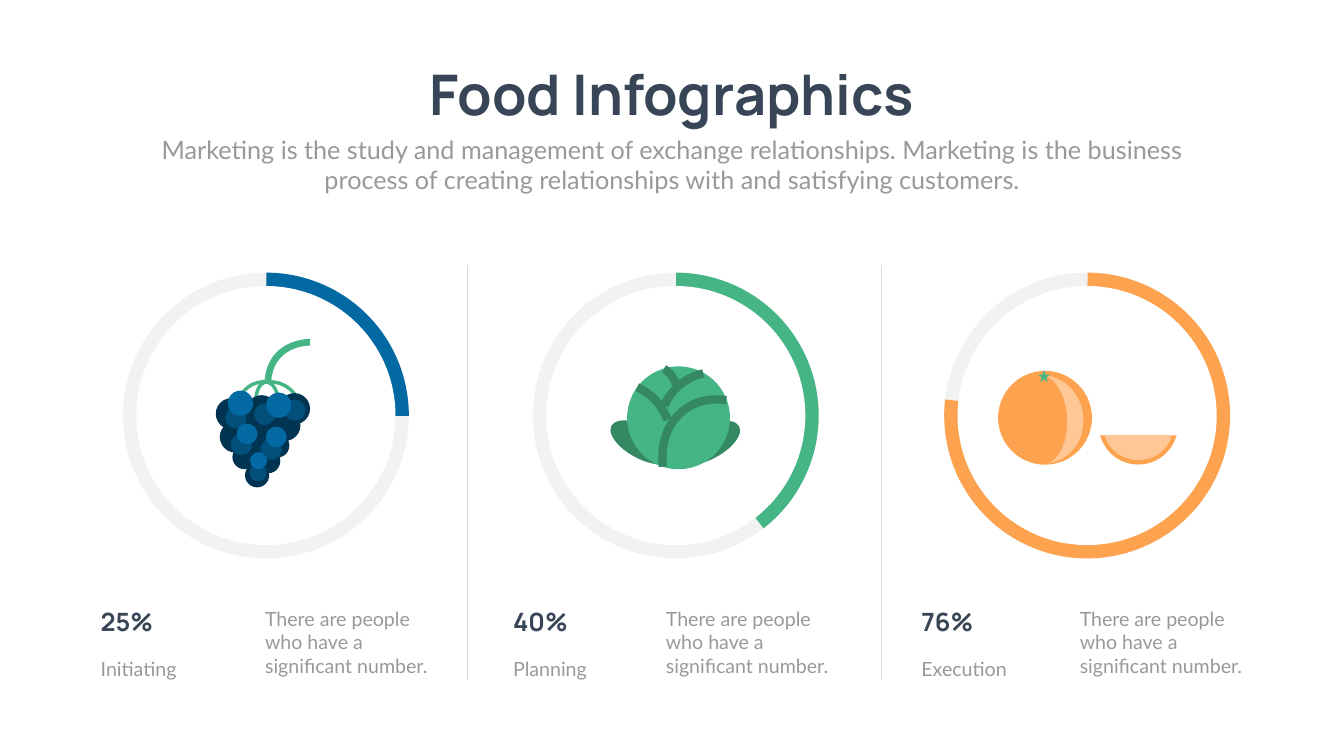
"""Food infographics slide: three progress rings with drawn food and captions."""
from lxml.etree import SubElement
from pptx import Presentation
from pptx.dml.color import RGBColor
from pptx.enum.shapes import MSO_CONNECTOR, MSO_SHAPE
from pptx.enum.text import PP_ALIGN
from pptx.oxml.ns import qn
from pptx.util import Inches, Pt

PAPER = RGBColor(0xFE, 0xFF, 0xFE)
WHITE = RGBColor(0xFF, 0xFF, 0xFF)
TRACK = RGBColor(0xF2, 0xF2, 0xF2)
RULE = RGBColor(0xD9, 0xD9, 0xD9)
INK = RGBColor(0x37, 0x45, 0x56)
GRAY = RGBColor(0x99, 0x99, 0x99)
NAVY = RGBColor(0x01, 0x34, 0x51)
DEEP = RGBColor(0x02, 0x4F, 0x7A)
BLUE = RGBColor(0x03, 0x69, 0xA2)
GREEN = RGBColor(0x46, 0xB5, 0x86)
LEAF = RGBColor(0x35, 0x88, 0x64)
ORANGE = RGBColor(0xFD, 0xA2, 0x4E)
PEACH = RGBColor(0xFE, 0xC7, 0x95)

TITLE = "Food Infographics"
INTRO = ("Marketing is the study and management of exchange relationships. "
         "Marketing is the business process of creating relationships with "
         "and satisfying customers.")
NOTE = "There are people who have a significant number."

GRAPES = [
    ("band", GREEN, 5, [
        [(4.72, 7.98), (4.82, 7.7), (5, 7.58), (5.28, 7.57)],
        [(5.9, 7.9), (5.78, 7.7), (5.6, 7.57), (5.28, 7.57)],
        [(5.07, 8.01), (5.07, 7.8), (5.13, 7.6), (5.28, 7.58)],
        [(5.54, 7.99), (5.5, 7.75), (5.43, 7.6), (5.28, 7.58)]]),
    ("band", GREEN, 9.5, [[(5.31, 7.6), (5.35, 6.8), (6.1, 6.79), (6.15, 6.79)]]),
    ("ball", NAVY, 0.62, [(5.84, 8.11), (5.19, 8.15), (4.59, 8.21), (4.67, 8.67),
                          (5.65, 8.44)]),
    ("ball", NAVY, 0.48, [(4.85, 9.07), (5.1, 9.43), (5.32, 9.15), (5.5, 8.84)]),
    ("ball", NAVY, 1, [(5.15, 8.6)]),
    ("ball", DEEP, 0.42, [(5.25, 8.22), (5.85, 8.14), (4.68, 8.29), (5.38, 8.91),
                          (4.79, 8.82)]),
    ("ball", DEEP, 0.34, [(5.12, 9.38)]),
    ("ball", BLUE, 0.5, [(4.77, 8), (5.53, 8.04)]),
    ("ball", BLUE, 0.41, [(4.9, 8.61), (5.48, 8.67)]),
    ("ball", BLUE, 0.34, [(5.13, 9.14)]),
]
CABBAGE = [
    ("leaf", LEAF, 28, [(12.75, 8.78)]),
    ("leaf", LEAF, -28, [(14.04, 8.79)]),
    ("ball", GREEN, 2.04, [(13.46, 8.29)]),
    ("band", LEAF, 12, [
        [(13.15, 9.26), (13.05, 8.4), (13.65, 7.82), (14.41, 7.94)],
        [(12.64, 7.68), (12.92, 7.81), (13.13, 8.04), (13.24, 8.33)],
        [(13.18, 8.05), (13.3, 7.75), (13.6, 7.48), (13.95, 7.41)],
        [(13.17, 7.32), (13.28, 7.38), (13.38, 7.5), (13.43, 7.69)]]),
]
CITRUS = [
    ("ball", ORANGE, 1.86, [(20.73, 8.29)]),
    ("patch", PEACH, 0, [
        [(20.72, 7.44), (21.74, 7.6), (21.74, 9.05), (20.78, 9.2),
         (21.31, 9), (21.31, 7.7), (20.72, 7.44)]]),
    ("star", GREEN, 0.24, [(20.71, 7.46)]),
    ("patch", ORANGE, 0, [[(23.34, 8.64), (23.1, 9.41), (22.06, 9.41), (21.82, 8.64)]]),
    ("patch", PEACH, 0, [[(23.25, 8.64), (23.05, 9.29), (22.11, 9.29), (21.91, 8.64)]]),
]
STEPS = [
    ("25%", "Initiating", BLUE, 0.1, (2.44, 1.9, 5.16), GRAPES),
    ("40%", "Planning", GREEN, 52.1, (10.57, 10.08, 13.11), CABBAGE),
    ("76%", "Execution", ORANGE, 186.46, (18.73, 18.18, 21.32), CITRUS),
]


def paint(shape, color):
    shape.shadow.inherit = False
    shape.fill.solid()
    shape.fill.fore_color.rgb = color
    shape.line.fill.background()


def place(shapes, mid, wide, high, color, kind=MSO_SHAPE.OVAL):
    box = (mid[0] - wide / 2, mid[1] - high / 2, wide, high)
    shape = shapes.add_shape(kind, *map(Inches, box))
    paint(shape, color)
    return shape


def trace(shapes, knots, closed, steps=16):
    dots = [knots[0]]
    for first in range(0, len(knots) - 1, 3):
        ends = knots[first:first + 4]
        for i in range(1, steps + 1):
            t = i / steps
            mix = ((1 - t) ** 3, 3 * t * (1 - t) ** 2, 3 * t * t * (1 - t), t ** 3)
            dots.append([sum(m * e[k] for m, e in zip(mix, ends)) for k in (0, 1)])
    dots = [(Inches(x), Inches(y)) for x, y in dots]
    pen = shapes.build_freeform(*dots[0], scale=1.0)
    pen.add_line_segments(dots[1:], close=closed)
    return pen.convert_to_shape()


def draw(shapes, kind, color, size, spots):
    for spot in spots:
        if kind == "ball":
            place(shapes, spot, size, size, color)
        elif kind == "leaf":
            place(shapes, spot, 1.41, 0.65, color).rotation = size
        elif kind == "star":
            place(shapes, spot, size, size, color, MSO_SHAPE.STAR_5_POINT)
        else:
            shape = trace(shapes, spot, kind == "patch")
            paint(shape, color)
            if kind == "band":
                shape.fill.background()
                shape.line.color.rgb, shape.line.width = color, Pt(size)


def write(slide, box, text, size, head=False, align=PP_ALIGN.LEFT, wrap=True, lead=None):
    frame = slide.shapes.add_textbox(*map(Inches, box)).text_frame
    frame.word_wrap = wrap
    frame.text = text
    para = frame.paragraphs[0]
    para.alignment = align
    para.line_spacing = lead
    font = para.runs[0].font
    font.size, font.bold = Pt(size), head
    font.name, font.color.rgb = ("Manrope", INK) if head else ("Lato", GRAY)


def main():
    deck = Presentation()
    deck.slide_width, deck.slide_height = Inches(26.66), Inches(15)
    slide = deck.slides.add_slide(deck.slide_layouts[6])
    slide.background.fill.solid()
    slide.background.fill.fore_color.rgb = PAPER
    write(slide, (8.02, 1.14, 10.61, 1.45), TITLE, 80, True, PP_ALIGN.CENTER, False)
    write(slide, (2.92, 2.61, 20.82, 1.31), INTRO, 36, align=PP_ALIGN.CENTER)
    for x in (9.28, 17.49):
        rule = slide.shapes.add_connector(
            MSO_CONNECTOR.STRAIGHT, *map(Inches, (x, 13.5, x, 5.25)))
        rule.line.color.rgb, rule.line.width = RULE, Pt(1)
        SubElement(rule._element.spPr, qn("a:effectLst"))
    for share, label, color, end, (ring, left, note), art in STEPS:
        dial = slide.shapes.add_group_shape().shapes
        mid = (ring + 5.67 / 2, 5.41 + 5.67 / 2)
        place(dial, mid, 5.67, 5.67, TRACK)
        arc = place(dial, mid, 5.67, 5.67, color, MSO_SHAPE.PIE)
        arc.adjustments[0], arc.adjustments[1] = 270.16 * 0.6, end * 0.6
        place(dial, mid, 5.14, 5.14, WHITE)
        food = slide.shapes.add_group_shape().shapes
        for part in art:
            draw(food, *part)
        write(slide, (left, 11.99, 2.04, 0.71), share, 36, True)
        write(slide, (left, 12.88, 2.93, 0.62), label, 28, lead=Pt(40.8))
        write(slide, (note, 11.99, 3.61, 1.51), NOTE, 28)
    deck.save("out.pptx")


if __name__ == "__main__":
    main()
